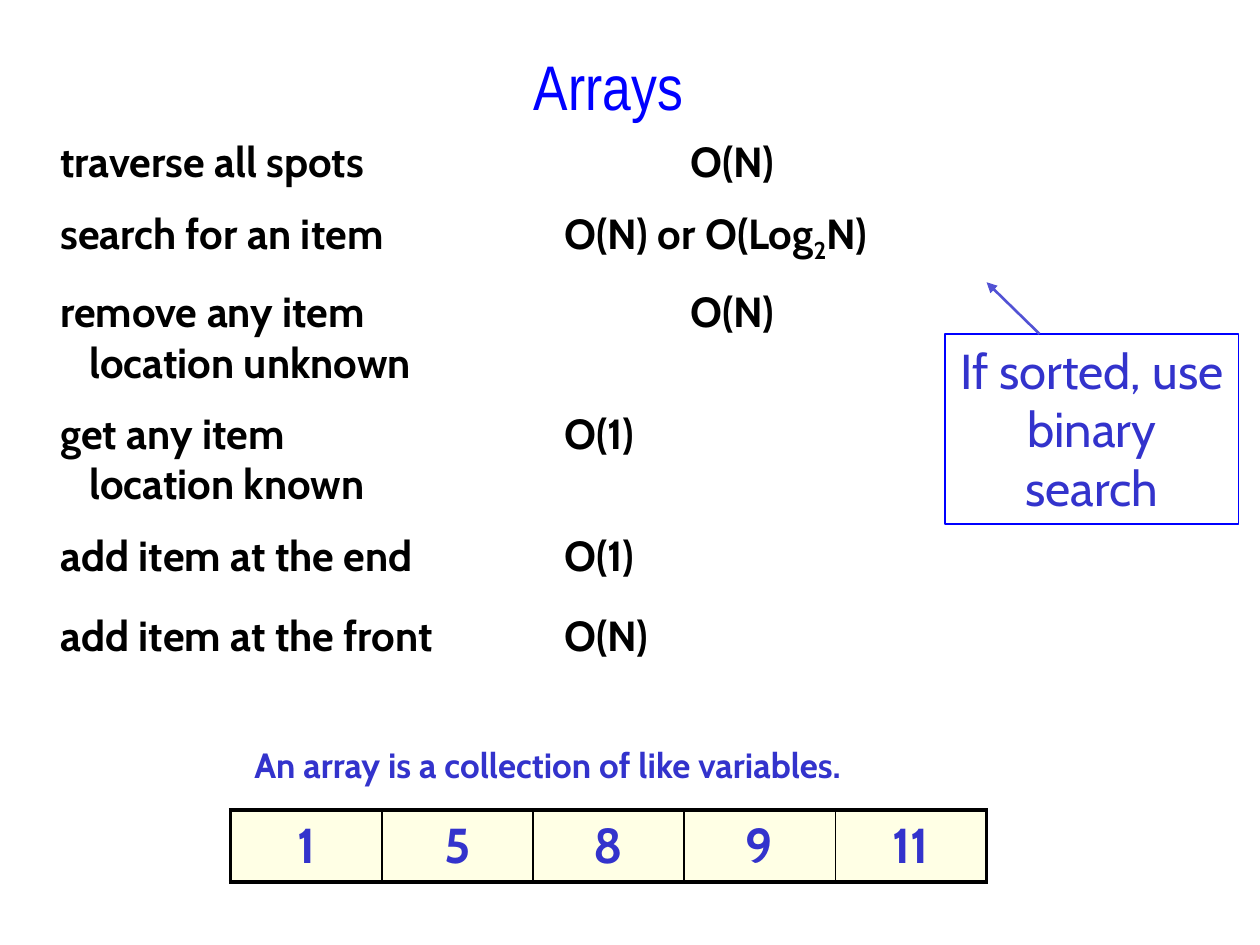
from dataclasses import dataclass
from typing import Any

from lxml.etree import SubElement
from pptx import Presentation
from pptx.dml.color import RGBColor
from pptx.enum.shapes import MSO_CONNECTOR, MSO_SHAPE
from pptx.enum.text import MSO_ANCHOR, PP_ALIGN
from pptx.oxml.ns import qn
from pptx.util import Inches, Pt

COLORS = {
    "title": "0000FF",
    "body": "000000",
    "accent": "3333CC",
    "arrow": "5252D4",
    "cell": "FFFFCC",
    "border": "000000",
}
BODY = {"name": "Cabin", "size": Pt(24), "bold": True}
TITLE = {"name": "Arial Narrow", "size": Pt(36), "bold": False}
CAPTION = {"name": "Cabin", "size": Pt(20), "bold": True}
CELL = {"name": "Cabin", "size": Pt(28), "bold": True}
CALLOUT = {"name": "Cabin", "size": Pt(28), "bold": False}


@dataclass
class Operation:
    """An array operation; odd entries of cost are subscripts."""
    name: str
    cost: tuple[str, ...]
    cost_column: float
    detail: str = ""
    space_before: float = 12


OPERATIONS = [
    Operation("traverse all spots", ("O(N)",), 5, space_before=0),
    Operation("search for an item", ("O(N) or O(Log", "2", "N)"), 4),
    Operation("remove any item", ("O(N)",), 5, "location unknown"),
    Operation("get any item", ("O(1)",), 4, "location known"),
    Operation("add item at the end", ("O(1)",), 4),
    Operation("add item at the front", ("O(N)",), 4, space_before=17),
]
DETAIL_INDENT = 0.23
ARRAY_VALUES = [1, 5, 8, 9, 11]


def rgb(name: str) -> RGBColor:
    return RGBColor.from_string(COLORS[name])


def style_font(font: Any, style: dict[str, Any], color: str) -> None:
    for attribute, value in style.items():
        setattr(font, attribute, value)
    font.color.rgb = rgb(color)


def write_line(frame: Any, text: str, style: dict[str, Any], color: str,
               alignment: PP_ALIGN = PP_ALIGN.CENTER) -> None:
    frame.word_wrap = True
    frame.vertical_anchor = MSO_ANCHOR.TOP
    paragraph = frame.paragraphs[0]
    paragraph.alignment = alignment
    run = paragraph.add_run()
    run.text = text
    style_font(run.font, style, color)


def add_text_frame(slide: Any, left: float, top: float, width: float, height: float) -> Any:
    box = slide.shapes.add_textbox(Inches(left), Inches(top), Inches(width), Inches(height))
    box.text_frame.word_wrap = True
    return box.text_frame


def set_tab_stops(paragraph: Any, *positions: float) -> None:
    tab_list = SubElement(paragraph._p.get_or_add_pPr(), qn("a:tabLst"))
    for position in positions:
        SubElement(tab_list, qn("a:tab"), pos=str(Inches(position)), algn="l")


def add_body_run(paragraph: Any, text: str, subscript: bool = False) -> None:
    run = paragraph.add_run()
    run.text = text
    style_font(run.font, BODY, "body")
    if subscript:
        run._r.get_or_add_rPr().set("baseline", "-25000")


def add_operations(slide: Any) -> None:
    frame = add_text_frame(slide, 0.38, 1.03, 8.92, 4.44)
    for index, operation in enumerate(OPERATIONS):
        paragraph = frame.add_paragraph() if index else frame.paragraphs[0]
        paragraph.space_before = Pt(operation.space_before)
        indent = [DETAIL_INDENT] if operation.detail else []
        set_tab_stops(paragraph, *indent, operation.cost_column)
        add_body_run(paragraph, f"{operation.name}\t")
        for part, text in enumerate(operation.cost):
            add_body_run(paragraph, text, subscript=part % 2 == 1)
        if operation.detail:
            paragraph.add_line_break()
            add_body_run(paragraph, f"\t{operation.detail}")


def set_cell_border(cell: Any, side: str, width: float) -> None:
    line = SubElement(cell._tc.get_or_add_tcPr(), qn(f"a:ln{side}"), w=str(Pt(width)))
    fill = SubElement(line, qn("a:solidFill"))
    SubElement(fill, qn("a:srgbClr"), val=COLORS["border"])


def add_array(slide: Any) -> None:
    count = len(ARRAY_VALUES)
    table = slide.shapes.add_table(
        1, count, Inches(1.83), Inches(6.43), Inches(1.2 * count), Inches(0.57)).table
    table.first_row = table.horz_banding = False
    for index, value in enumerate(ARRAY_VALUES):
        cell = table.cell(0, index)
        write_line(cell.text_frame, str(value), CELL, "accent")
        widths = {
            "L": 2.25 if index == 0 else 1,
            "R": 2.25 if index == count - 1 else 1,
            "T": 2.25,
            "B": 2.25,
        }
        for side, width in widths.items():
            set_cell_border(cell, side, width)
        cell.fill.solid()
        cell.fill.fore_color.rgb = rgb("cell")
        color = cell._tc.tcPr.find(qn("a:solidFill")).find(qn("a:srgbClr"))
        SubElement(color, qn("a:alpha"), val="50000")


def add_callout(slide: Any) -> None:
    box = slide.shapes.add_shape(
        MSO_SHAPE.RECTANGLE, Inches(7.5), Inches(2.65), Inches(2.33), Inches(1.51))
    box.shadow.inherit = False
    box.fill.background()
    box.line.color.rgb = rgb("title")
    box.line.width = Pt(1)
    write_line(box.text_frame, "If sorted, use binary search", CALLOUT, "accent")

    arrow = slide.shapes.add_connector(
        MSO_CONNECTOR.STRAIGHT, Inches(8.25), Inches(2.65), Inches(7.83), Inches(2.24))
    arrow.line.color.rgb = rgb("arrow")
    arrow.line.width = Pt(1.5)
    SubElement(arrow.line._get_or_add_ln(), qn("a:tailEnd"), type="triangle")
    SubElement(arrow._element.spPr, qn("a:effectLst"))


def main() -> None:
    presentation = Presentation()
    presentation.slide_width = Inches(10)
    presentation.slide_height = Inches(7.5)
    slide = presentation.slides.add_slide(presentation.slide_layouts[6])

    write_line(add_text_frame(slide, 4.04, 0.33, 1.58, 0.42), "Arrays", TITLE, "title")
    add_operations(slide)
    add_array(slide)
    write_line(add_text_frame(slide, 1.92, 5.85, 5.9, 0.77),
               "An array is a collection of like variables.",
               CAPTION, "accent", PP_ALIGN.LEFT)
    add_callout(slide)

    presentation.save("out.pptx")


if __name__ == "__main__":
    main()
